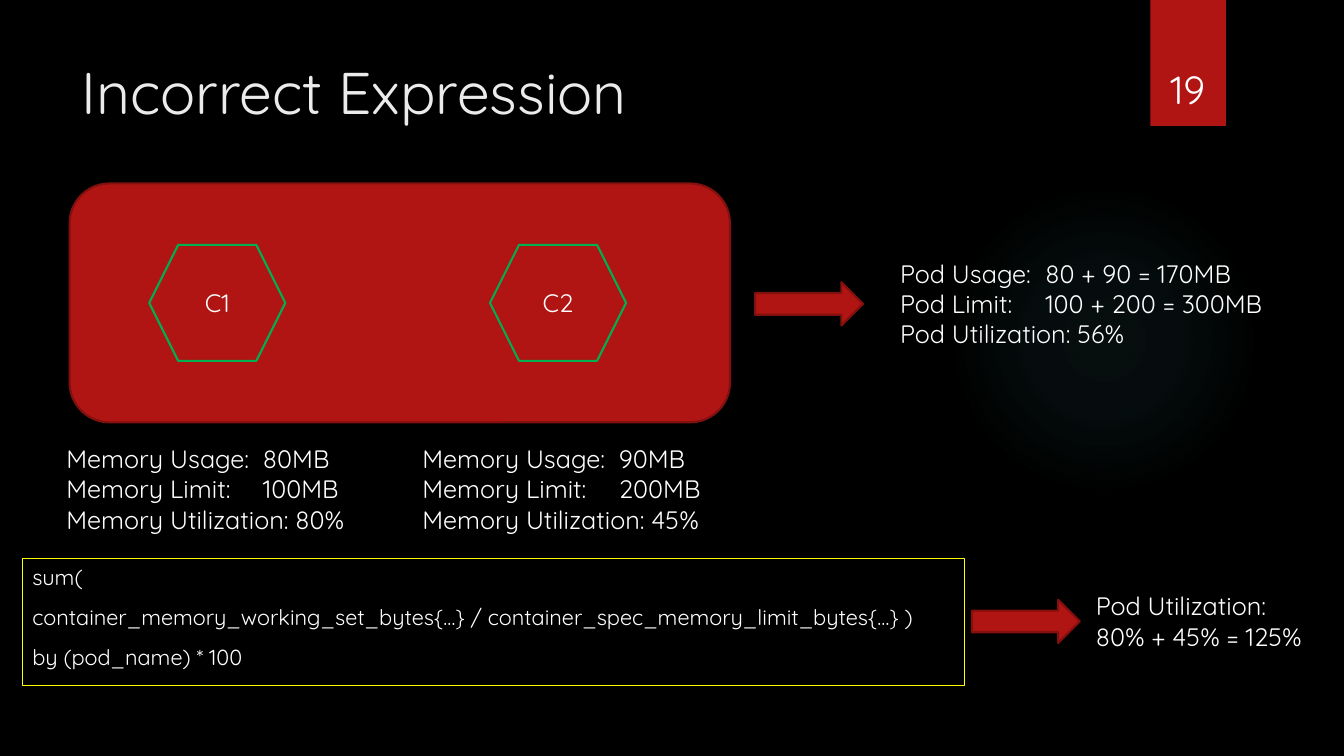
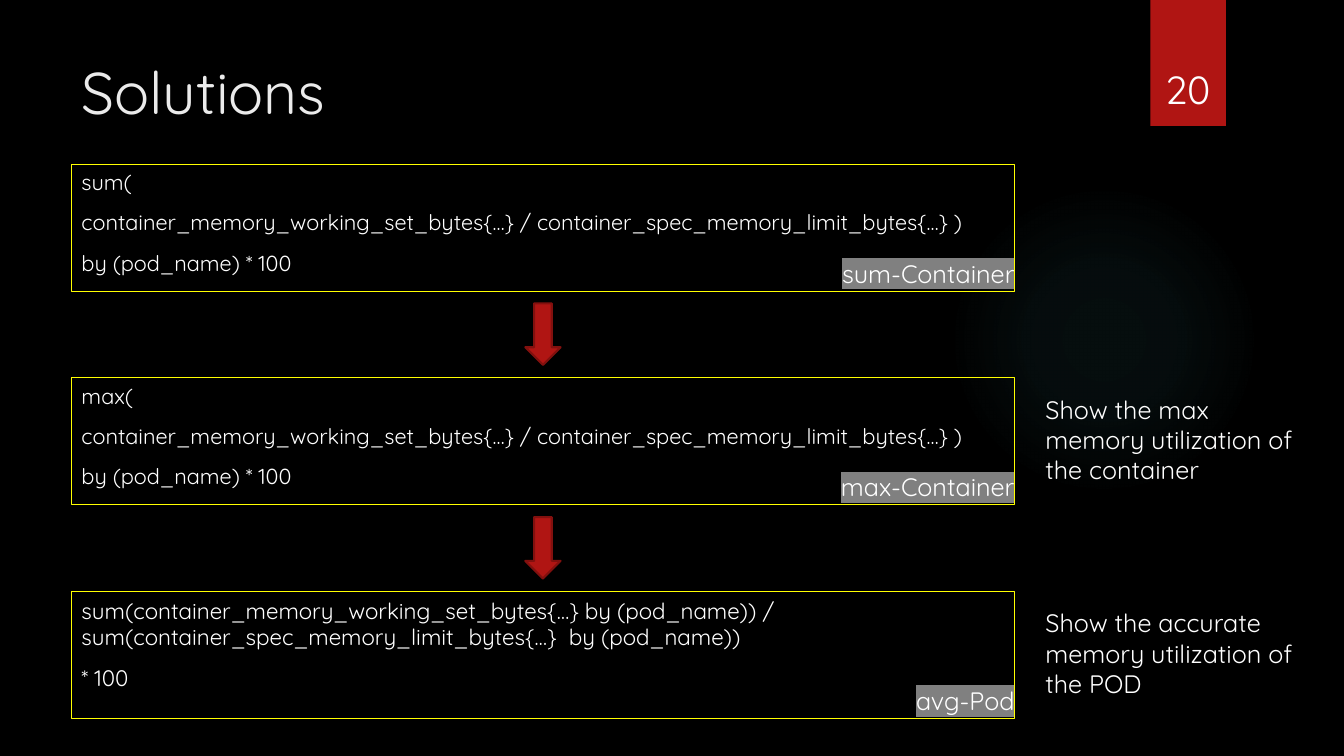
from pptx import Presentation
from pptx.dml.color import RGBColor
from pptx.enum import shapes, text
from pptx.oxml import parse_xml
from pptx.oxml.ns import nsdecls, qn
from pptx.util import Inches, Pt

BLACK = RGBColor(0x00, 0x00, 0x00)
WHITE = RGBColor(0xFF, 0xFF, 0xFF)
TITLE_WHITE = RGBColor(0xEB, 0xEB, 0xEB)
RED = RGBColor(0xB0, 0x15, 0x13)
DARK_RED = RGBColor(0x82, 0x10, 0x0E)
GREEN = RGBColor(0x00, 0xB0, 0x50)
YELLOW = RGBColor(0xFF, 0xFF, 0x00)
GRAY = RGBColor(0x80, 0x80, 0x80)
TEAL = RGBColor(0x50, 0xB9, 0xC1)

FONT = "Quicksand"
SHAPE = shapes.MSO_SHAPE
LEFT, CENTER, RIGHT = text.PP_ALIGN.LEFT, text.PP_ALIGN.CENTER, text.PP_ALIGN.RIGHT
TOP, MIDDLE, BOTTOM = (text.MSO_ANCHOR.TOP, text.MSO_ANCHOR.MIDDLE,
                       text.MSO_ANCHOR.BOTTOM)

TITLE = {"size": 42, "color": TITLE_WHITE}
CODE = {"size": 15.5, "space_before": 10}
BADGE = {"align": CENTER, "anchor": MIDDLE}
NUMBER = {"size": 28, "align": CENTER, "anchor": BOTTOM}
LABEL = {"align": RIGHT, "highlight": GRAY}

CODE_SIZE = (9.35, 1.26)
RATIO = ("container_memory_working_set_bytes{…} / "
         "container_spec_memory_limit_bytes{…} )")


def container_query(function):
    """Return the lines of a query that aggregates container ratios."""
    return [f"{function}(", RATIO, "by (pod_name) * 100"]


def set_attributes(target, values):
    """Set every attribute named in a dict of format values."""
    for name, value in values.items():
        setattr(target, name, value)


def place(shape, left, top, width, height):
    """Position and size a shape, in inches."""
    set_attributes(shape, {"left": Inches(left), "top": Inches(top),
                           "width": Inches(width), "height": Inches(height)})


def highlight_text(shape, color):
    """Put a highlight colour behind all text of a shape."""
    for properties in shape.element.iter(qn("a:rPr")):
        properties.find(qn("a:solidFill")).addnext(parse_xml(
            f'<a:highlight {nsdecls("a")}><a:srgbClr val="{color}"/></a:highlight>'))


def add_tab_stop(paragraph, position):
    """Add one left tab stop, in inches, to a paragraph."""
    properties = paragraph._p.get_or_add_pPr()
    properties.append(parse_xml(
        f'<a:tabLst {nsdecls("a")}><a:tab pos="{Inches(position)}" algn="l"/>'
        '</a:tabLst>'))


def remove_bullet(paragraph):
    """Remove the inherited bullet and its indent."""
    properties = paragraph._p.get_or_add_pPr()
    properties.set("marL", "0")
    properties.set("indent", "0")
    properties.append(parse_xml(f'<a:buNone {nsdecls("a")}/>'))


def write(shape, lines, size=18, color=WHITE, align=LEFT, anchor=TOP,
          space_before=0, tab=None, highlight=None):
    """Write one formatted paragraph per line into a shape."""
    frame = shape.text_frame
    set_attributes(frame, {"word_wrap": True, "vertical_anchor": anchor,
                           "auto_size": text.MSO_AUTO_SIZE.NONE})
    for index, line in enumerate(lines):
        paragraph = frame.add_paragraph() if index else frame.paragraphs[0]
        set_attributes(paragraph, {"alignment": align,
                                   "space_before": Pt(space_before)})
        run = paragraph.add_run()
        run.text = line
        set_attributes(run.font, {"name": FONT, "size": Pt(size)})
        run.font.color.rgb = color
        if "\t" in line:
            add_tab_stop(paragraph, tab)
    if highlight is not None:
        highlight_text(shape, highlight)


def outline(shape, color, width):
    """Give a shape a solid outline."""
    shape.line.color.rgb = color
    shape.line.width = Pt(width)


def add_block(slide, kind, box, fill=RED, line=DARK_RED, line_width=1.5):
    """Add a preset shape; None means no fill or no line."""
    shape = slide.shapes.add_shape(kind, *map(Inches, box))
    shape.shadow.inherit = False
    if fill is None:
        shape.fill.background()
    else:
        shape.fill.solid()
        shape.fill.fore_color.rgb = fill
    if line is None:
        shape.line.fill.background()
    else:
        outline(shape, line, line_width)
    return shape


def add_text(slide, box, lines, **style):
    """Add a wrapping text box."""
    shape = slide.shapes.add_textbox(*map(Inches, box))
    write(shape, lines, **style)
    shape.text_frame.auto_size = text.MSO_AUTO_SIZE.SHAPE_TO_FIT_TEXT


def add_code(slide, left, top, lines, size=15.5):
    """Add a yellow-framed query."""
    shape = add_block(slide, SHAPE.RECTANGLE, (left, top, *CODE_SIZE),
                      None, YELLOW, 0.75)
    write(shape, lines, **{**CODE, "size": size})


def fill_glow(shape):
    """Fill a shape with a faint radial gradient."""
    stops = "".join(
        f'<a:gs pos="{position * 1000}"><a:srgbClr val="{TEAL}">'
        f'<a:alpha val="{alpha * 1000}"/></a:srgbClr></a:gs>'
        for position, alpha in ((0, 7), (36, 6), (69, 0)))
    solid = shape.element.spPr.find(qn("a:solidFill"))
    solid.addnext(parse_xml(
        f'<a:gradFill {nsdecls("a")}><a:gsLst>{stops}</a:gsLst>'
        '<a:path path="circle"><a:fillToRect l="50000" t="50000" '
        'r="50000" b="50000"/></a:path></a:gradFill>'))
    shape.element.getparent().remove(shape.element) if solid is None else \
        shape.element.spPr.remove(solid)


def decorate_master(presentation, slide):
    """Give the master its background, glow and number tab."""
    master = presentation.slide_master
    master.background.fill.solid()
    master.background.fill.fore_color.rgb = BLACK
    glow = add_block(slide, SHAPE.OVAL, (9.41, 1.83, 3.08, 3.08), TEAL, None)
    fill_glow(glow)
    tab = add_block(slide, SHAPE.RECTANGLE, (11.41, 0, 0.75, 1.25), RED, None)
    for position, shape in enumerate((glow, tab), start=2):
        master.shapes.element.insert(position, shape.element)


def start_slide(presentation, layout, title, number):
    """Add a slide with its title and number."""
    slide = presentation.slides.add_slide(
        presentation.slide_layouts.get_by_name(layout))
    place(slide.shapes.title, 0.71, 0.5, 10.29, 1.53)
    write(slide.shapes.title, [title], **TITLE)
    add_text(slide, (11.32, 0.32, 0.92, 0.84), [number], **NUMBER)
    return slide


def build_incorrect_expression(presentation):
    """Show how summing container ratios misleads."""
    slide = start_slide(presentation, "Title and Content",
                        "Incorrect Expression", "19")
    query = slide.placeholders[1]
    place(query, 0.22, 5.54, *CODE_SIZE)
    outline(query, YELLOW, 0.75)
    write(query, container_query("sum"), **CODE)
    for paragraph in query.text_frame.paragraphs:
        remove_bullet(paragraph)

    add_block(slide, SHAPE.ROUNDED_RECTANGLE, (0.69, 1.82, 6.55, 2.37))
    containers = (("C1", 1.48, 0.56, "80MB", "100MB", "80%"),
                  ("C2", 4.86, 4.09, "90MB", "200MB", "45%"))
    for name, left, text_left, usage, limit, utilization in containers:
        hexagon = add_block(slide, SHAPE.HEXAGON, (left, 2.43, 1.35, 1.15),
                            line=GREEN)
        write(hexagon, [name], **BADGE)
        add_text(slide, (text_left, 4.35, 3.21, 1.01),
                 [f"Memory Usage:\t{usage}", f"Memory Limit:\t{limit}",
                  f"Memory Utilization: {utilization}"], tab=1.95)

    for left, top in ((7.49, 2.8), (9.64, 5.95)):
        add_block(slide, SHAPE.RIGHT_ARROW, (left, top, 1.07, 0.43))
    add_text(slide, (8.83, 2.51, 4.17, 1.01),
             ["Pod Usage:\t80 + 90 = 170MB", "Pod Limit:\t100 + 200 = 300MB",
              "Pod Utilization: 56%"], tab=1.44)
    add_text(slide, (10.77, 5.81, 2.44, 0.71),
             ["Pod Utilization: ", "80% + 45% = 125%"])
    return slide


def build_solutions(presentation):
    """Show three queries, each leading to the next."""
    slide = start_slide(presentation, "Title Only", "Solutions", "20")
    pod_query = ["sum(container_memory_working_set_bytes{…} by (pod_name)) / "
                 "sum(container_spec_memory_limit_bytes{…}  by (pod_name))",
                 "* 100"]
    steps = (
        ("sum-Container", container_query("sum"), 15.5, None),
        ("max-Container", container_query("max"), 15.5,
         "Show the max memory utilization of the container"),
        ("avg-Pod", pod_query, 16,
         "Show the accurate memory utilization of the POD"),
    )
    for index, (label, query, size, note) in enumerate(steps):
        top = 1.63 + 2.12 * index
        add_code(slide, 0.71, top, query, size)
        add_text(slide, (8.05, top + 0.88, 2.11, 0.4), [label], **LABEL)
        if index:
            add_block(slide, SHAPE.DOWN_ARROW, (5.21, top - 0.74, 0.35, 0.61))
        if note:
            add_text(slide, (10.27, top + 0.11, 2.8, 1.01), [note])


def main():
    """Build and save the presentation."""
    presentation = Presentation()
    set_attributes(presentation, {"slide_width": Inches(13.33),
                                  "slide_height": Inches(7.5)})
    first_slide = build_incorrect_expression(presentation)
    decorate_master(presentation, first_slide)
    build_solutions(presentation)
    presentation.save("out.pptx")


main()
